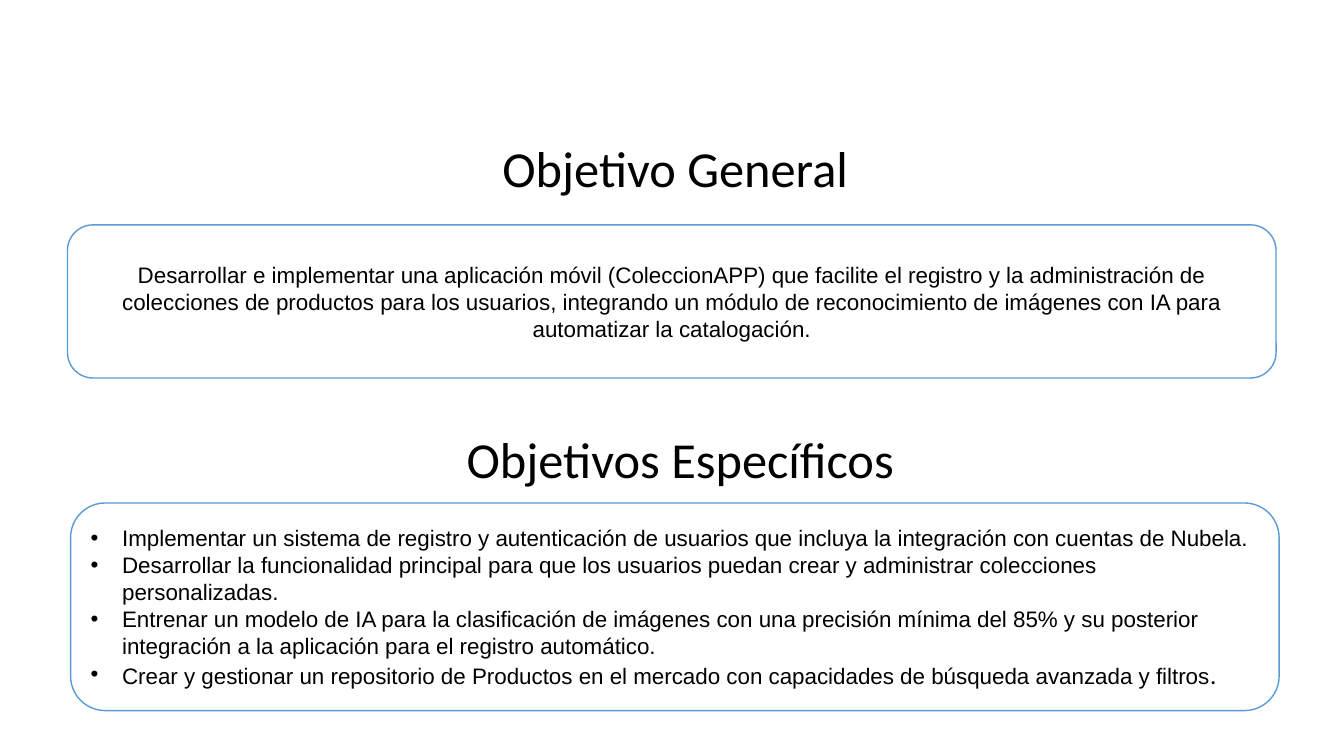
import pptx
import pptx.util
import pptx.dml.color
import pptx.enum.shapes
import pptx.enum.text
import pptx.oxml
import pptx.oxml.ns

Pt = pptx.util.Pt
RGBColor = pptx.dml.color.RGBColor
ALIGN = pptx.enum.text.PP_ALIGN
ANCHOR = pptx.enum.text.MSO_ANCHOR

BLACK = RGBColor(0x00, 0x00, 0x00)
WHITE = RGBColor(0xFF, 0xFF, 0xFF)
BLUE = RGBColor(0x5B, 0x9B, 0xD5)

WIDE, HIGH = 960, 540
INDENT = 22.5

GOAL = (
    "Desarrollar e implementar una aplicación móvil (ColeccionAPP) que facilite "
    "el registro y la administración de colecciones de productos para los usuarios, "
    "integrando un módulo de reconocimiento de imágenes con IA para automatizar "
    "la catalogación."
)
AIMS = [
    "Implementar un sistema de registro y autenticación de usuarios que incluya "
    "la integración con cuentas de Nubela.",
    "Desarrollar la funcionalidad principal para que los usuarios puedan crear y "
    "administrar colecciones personalizadas.",
    "Entrenar un modelo de IA para la clasificación de imágenes con una precisión "
    "mínima del 85% y su posterior integración a la aplicación para el registro "
    "automático.",
    "Crear y gestionar un repositorio de Productos en el mercado con capacidades "
    "de búsqueda avanzada y filtros",
]


def write(para, text, size=16, font="Arial", align=ALIGN.LEFT):
    """Add one formatted run to a paragraph."""
    para.alignment = align
    run = para.add_run()
    run.text = text
    run.font.size = Pt(size)
    run.font.name = font
    run.font.color.rgb = BLACK


def bullet(para):
    """Give a paragraph a black bullet and a hanging indent."""
    props = para._p.get_or_add_pPr()
    props.set("marL", str(Pt(INDENT)))
    props.set("indent", str(-Pt(INDENT)))
    space = pptx.oxml.ns.nsdecls("a")
    for part in (
        f'<a:buClr {space}><a:srgbClr val="{BLACK}"/></a:buClr>',
        f'<a:buFont {space} typeface="Arial"/>',
        f'<a:buChar {space} char="•"/>',
    ):
        props.append(pptx.oxml.parse_xml(part))


def head(shape, box, text):
    """Place a centred heading in its box."""
    shape.left, shape.top, shape.width, shape.height = map(Pt, box)
    frame = shape.text_frame
    frame.word_wrap = True
    frame.auto_size = pptx.enum.text.MSO_AUTO_SIZE.NONE
    frame.vertical_anchor = ANCHOR.TOP
    write(frame.paragraphs[0], text, size=36, font="Calibri", align=ALIGN.CENTER)


def panel(slide, box):
    """Draw a rounded panel and return its text frame."""
    kind = pptx.enum.shapes.MSO_SHAPE.ROUNDED_RECTANGLE
    shape = slide.shapes.add_shape(kind, *map(Pt, box))
    shape.shadow.inherit = False
    shape.fill.solid()
    shape.fill.fore_color.rgb = WHITE
    shape.line.color.rgb = BLUE
    shape.line.width = Pt(1)
    frame = shape.text_frame
    frame.word_wrap = True
    frame.vertical_anchor = ANCHOR.MIDDLE
    return frame


def goal(slide, box):
    """Panel with the general goal."""
    frame = panel(slide, box)
    write(frame.paragraphs[0], GOAL, align=ALIGN.CENTER)


def aims(slide, box):
    """Panel with the bulleted aims."""
    frame = panel(slide, box)
    for i, aim in enumerate(AIMS):
        para = frame.add_paragraph() if i else frame.paragraphs[0]
        bullet(para)
        write(para, aim)
    # The closing full stop is larger
    write(para, ".", size=18, font="Calibri")


def main():
    deck = pptx.Presentation()
    deck.slide_width, deck.slide_height = Pt(WIDE), Pt(HIGH)
    slide = deck.slides.add_slide(deck.slide_layouts.get_by_name("Title Only"))

    # General goal
    head(slide.shapes.title, (12.2, 94.3, 940.3, 51), "Objetivo General")
    goal(slide, (48.2, 160.6, 863.3, 109.4))

    # Specific aims
    label = slide.shapes.add_textbox(0, 0, 0, 0)
    head(label, (15.8, 302.4, 940.3, 51), "Objetivos Específicos")
    aims(slide, (50.4, 359.3, 863.3, 148.3))

    deck.save("out.pptx")


if __name__ == "__main__":
    main()
